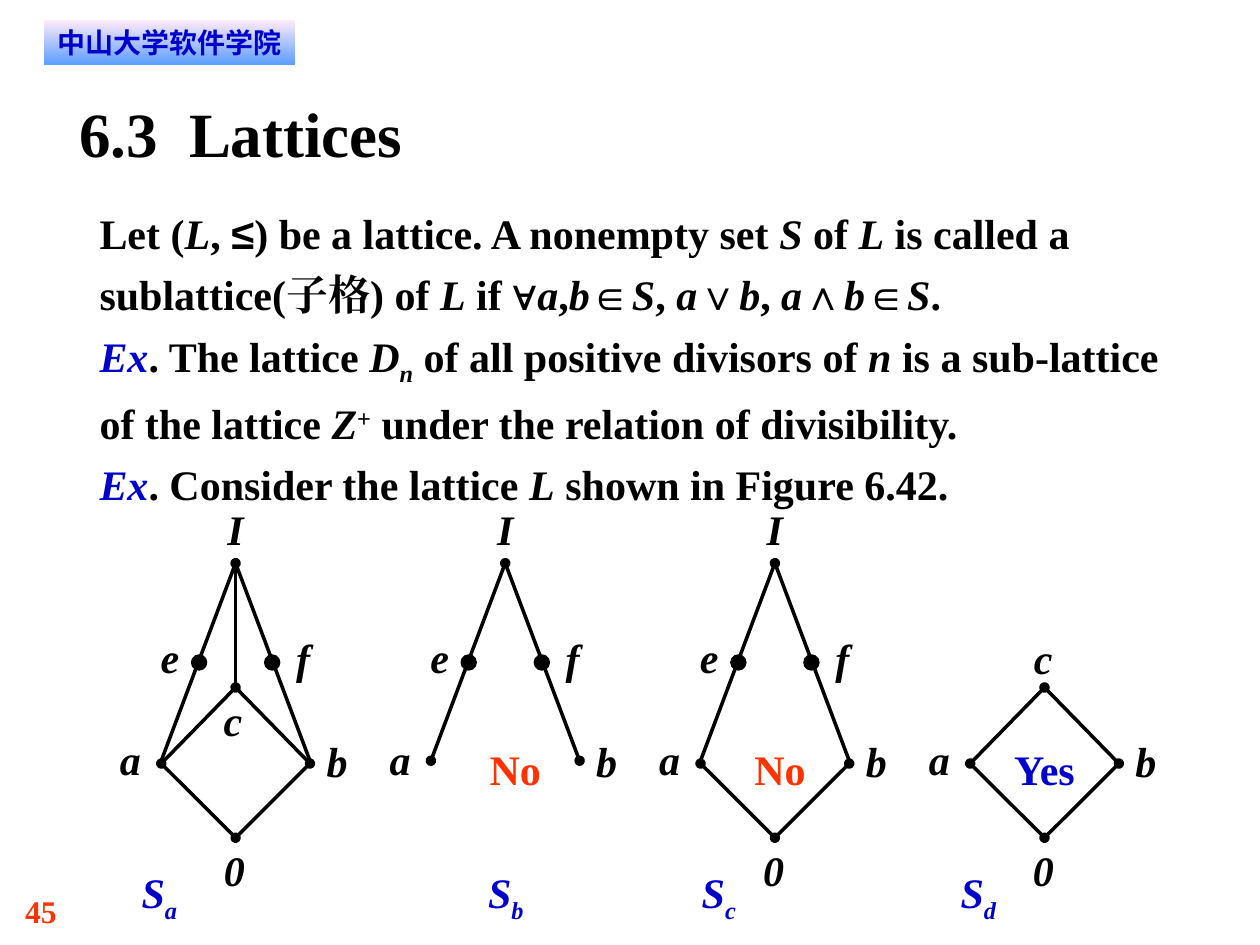
from lxml import etree
from pptx import Presentation
from pptx.dml.color import RGBColor
from pptx.enum.shapes import MSO_CONNECTOR, MSO_SHAPE
from pptx.enum.text import MSO_ANCHOR, PP_ALIGN
from pptx.oxml.ns import qn
from pptx.util import Inches, Pt

WIDTH, HEIGHT = Inches(10), Inches(7.5)
BLACK = RGBColor(0x00, 0x00, 0x00)
BLUE = RGBColor(0x00, 0x00, 0xCC)
RED = RGBColor(0xFF, 0x33, 0x00)
BANNER_TOP = RGBColor(0xFF, 0xEB, 0xFA)
BANNER_BOTTOM = RGBColor(0x5E, 0x9E, 0xFF)
SERIF, SYMBOL, CHINESE = "Times New Roman", "Arial", "DejaVu Sans"

# Run styles used in the body text
PLAIN = {}
ITALIC = {"italic": True}
MATH = {"font": SYMBOL}
SUB = {"italic": True, "baseline": -25}
SUPER = {"baseline": 30}
EXAMPLE = {"italic": True, "color": BLUE}

BODY = [
    [("Let (", PLAIN), ("L", ITALIC), (", ", PLAIN), ("≤", MATH),
     (") be a lattice. A nonempty set ", PLAIN), ("S", ITALIC),
     (" of ", PLAIN), ("L", ITALIC),
     (" is called a sublattice(子格) of ", PLAIN), ("L", ITALIC),
     (" if ", PLAIN), ("∀", MATH), ("a", ITALIC), (",", PLAIN),
     ("b", ITALIC), ("∈", MATH), ("S", ITALIC), (", ", PLAIN),
     ("a", ITALIC), ("∨", MATH), ("b", ITALIC), (", ", PLAIN),
     ("a", ITALIC), ("∧", MATH), ("b", ITALIC), ("∈", MATH),
     ("S", ITALIC), (".", PLAIN)],
    [("Ex", EXAMPLE), (". The lattice ", PLAIN), ("D", ITALIC), ("n", SUB),
     (" of all positive divisors of ", PLAIN), ("n", ITALIC),
     (" is a sub-lattice of the lattice ", PLAIN), ("Z", ITALIC),
     ("+", SUPER), (" under the relation of divisibility.", PLAIN)],
    [("Ex", EXAMPLE), (". Consider the lattice ", PLAIN), ("L", ITALIC),
     (" shown in Figure 6.42.", PLAIN)],
]

# Lattice geometry in percent of the slide: x from the axis, y from the top
FIRST_AXIS, AXIS_STEP = 18.7, 21.4
NODES = {"I": (0, 59.6), "e": (-2.9, 70.1), "f": (2.9, 70.1),
         "c": (0, 72.75), "a": (-5.9, 80.8), "b": (5.9, 80.8),
         "0": (0, 88.65)}
SLOPE_FOOT = 80.5  # the long slopes to I end just above the diamond corners
LABELS = {"I": (0, 53.33), "e": (-5.2, 66.8), "f": (5.35, 66.93),
          "a": (-8.35, 77.6), "b": (8.05, 77.87), "0": (-0.1, 89.33)}
C_INSIDE, C_ABOVE = (-0.2, 73.47), (-0.1, 66.93)

# Edges, place of the label c, subscript, caption left, verdict
LATTICES = [
    ("0b 0a ac bc aI bI cI", C_INSIDE, "a", 11, None),
    ("aI bI", None, "b", 38.5, ("No", RED, 38.3)),
    ("0b 0a aI bI", None, "c", 55.4, ("No", RED, 59.3)),
    ("0b 0a ac bc", C_ABOVE, "d", 76, ("Yes", BLUE, 80.3)),
]


def across(percent):
    return round(WIDTH * percent / 100)


def down(percent):
    return round(HEIGHT * percent / 100)


def place(left, top, width, height):
    return across(left), down(top), across(width), down(height)


def add_run(paragraph, text, size=24, color=BLACK, font=SERIF,
            italic=False, baseline=0):
    run = paragraph.add_run()
    run.text = text
    run.font.size, run.font.bold, run.font.italic = Pt(size), True, italic
    run.font.color.rgb, run.font.name = color, font
    props = run.font._element
    props.find(qn("a:latin")).addnext(
        etree.Element(qn("a:ea"), typeface=font))
    if baseline:
        props.set("baseline", str(baseline * 1000))


def clear_margins(frame):
    frame.margin_left = frame.margin_right = 0
    frame.margin_top = frame.margin_bottom = 0


def add_text(shapes, box, paragraphs, align=PP_ALIGN.LEFT, wrap=True,
             line_spacing=None):
    frame = shapes.add_textbox(*place(*box)).text_frame
    frame.word_wrap = wrap
    clear_margins(frame)
    for index, runs in enumerate(paragraphs):
        paragraph = frame.add_paragraph() if index else frame.paragraphs[0]
        paragraph.alignment = align
        paragraph.line_spacing = line_spacing
        for text, style in runs:
            add_run(paragraph, text, **style)
    return frame


def add_banner(shapes):
    banner = shapes.add_shape(MSO_SHAPE.RECTANGLE, *place(3.5, 2.13, 19.9, 4.67))
    banner.shadow.inherit = False
    banner.line.fill.background()
    banner.fill.gradient()
    banner.fill.gradient_angle = 270
    top, bottom = banner.fill.gradient_stops
    top.position, top.color.rgb = 0, BANNER_TOP
    bottom.position, bottom.color.rgb = 1, BANNER_BOTTOM
    frame = banner.text_frame
    clear_margins(frame)
    frame.vertical_anchor = MSO_ANCHOR.MIDDLE
    frame.paragraphs[0].alignment = PP_ALIGN.CENTER
    add_run(frame.paragraphs[0], "中山大学软件学院", 16, BLUE, CHINESE)


def add_title(shapes):
    frame = add_text(shapes, (6.3, 10, 87.5, 8),
                     [[("6.3\tLattices", {"size": 36})]])
    frame.vertical_anchor = MSO_ANCHOR.MIDDLE
    props = frame.paragraphs[0]._p.get_or_add_pPr()
    stops = etree.SubElement(props, qn("a:tabLst"))
    etree.SubElement(stops, qn("a:tab"), pos=str(across(8.7)), algn="l")


def add_edge(shapes, axis, start, end, dotted):
    (x1, y1), (x2, y2) = NODES[start], NODES[end]
    if end == "I" and start in "ab":
        y1 = SLOPE_FOOT
    edge = shapes.add_connector(MSO_CONNECTOR.STRAIGHT,
                                across(axis + x1), down(y1),
                                across(axis + x2), down(y2))
    edge.line.color.rgb, edge.line.width = BLACK, Pt(2)
    etree.SubElement(edge._element.spPr, qn("a:effectLst"))
    # Each node gets its dot from the first edge that reaches it
    for node, tag in ((start, "a:headEnd"), (end, "a:tailEnd")):
        if node not in dotted:
            dotted.add(node)
            etree.SubElement(edge.line._get_or_add_ln(), qn(tag), type="oval")


def add_middle_dot(shapes, axis, node):
    x, y = NODES[node]
    dot = shapes.add_shape(MSO_SHAPE.OVAL,
                           *place(axis + x - 0.6, y - 0.8, 1.2, 1.6))
    dot.shadow.inherit = False
    dot.fill.solid()
    dot.fill.fore_color.rgb = dot.line.color.rgb = BLACK
    dot.line.width = Pt(0.75)


def add_lattice(shapes, axis, edges, c_label):
    diagram = shapes.add_group_shape().shapes
    dotted = set()
    for start, end in edges.split():
        add_edge(diagram, axis, start, end, dotted)
    if "I" in dotted:
        for node in "ef":
            add_middle_dot(diagram, axis, node)
            dotted.add(node)
    for node in sorted(dotted):
        x, top = c_label if node == "c" else LABELS[node]
        add_text(diagram, (axis + x - 0.85, top, 1.7, 5.33),
                 [[(node, ITALIC)]], PP_ALIGN.CENTER, wrap=False)


def main():
    deck = Presentation()
    deck.slide_width, deck.slide_height = WIDTH, HEIGHT
    shapes = deck.slides.add_slide(deck.slide_layouts[6]).shapes

    # Page number, banner, title and definition
    add_text(shapes, (2, 94.4, 7.5, 4), [[("45", {"size": 18, "color": RED})]])
    add_banner(shapes)
    add_title(shapes)
    add_text(shapes, (7.9, 20.93, 87.6, 32.93), BODY, line_spacing=1.2)

    # Lattices with captions and verdicts
    for column, (edges, c_label, letter, left, verdict) in enumerate(LATTICES):
        add_lattice(shapes, FIRST_AXIS + column * AXIS_STEP, edges, c_label)
        add_text(shapes, (left, 91.73, 3.3, 6.13),
                 [[("S", EXAMPLE), (letter, {**SUB, "color": BLUE})]],
                 PP_ALIGN.CENTER)
        if verdict:
            answer, color, answer_left = verdict
            add_text(shapes, (answer_left, 78.67, 5.2, 5.33),
                     [[(answer, {"color": color})]], PP_ALIGN.CENTER)

    deck.save("out.pptx")


if __name__ == "__main__":
    main()
